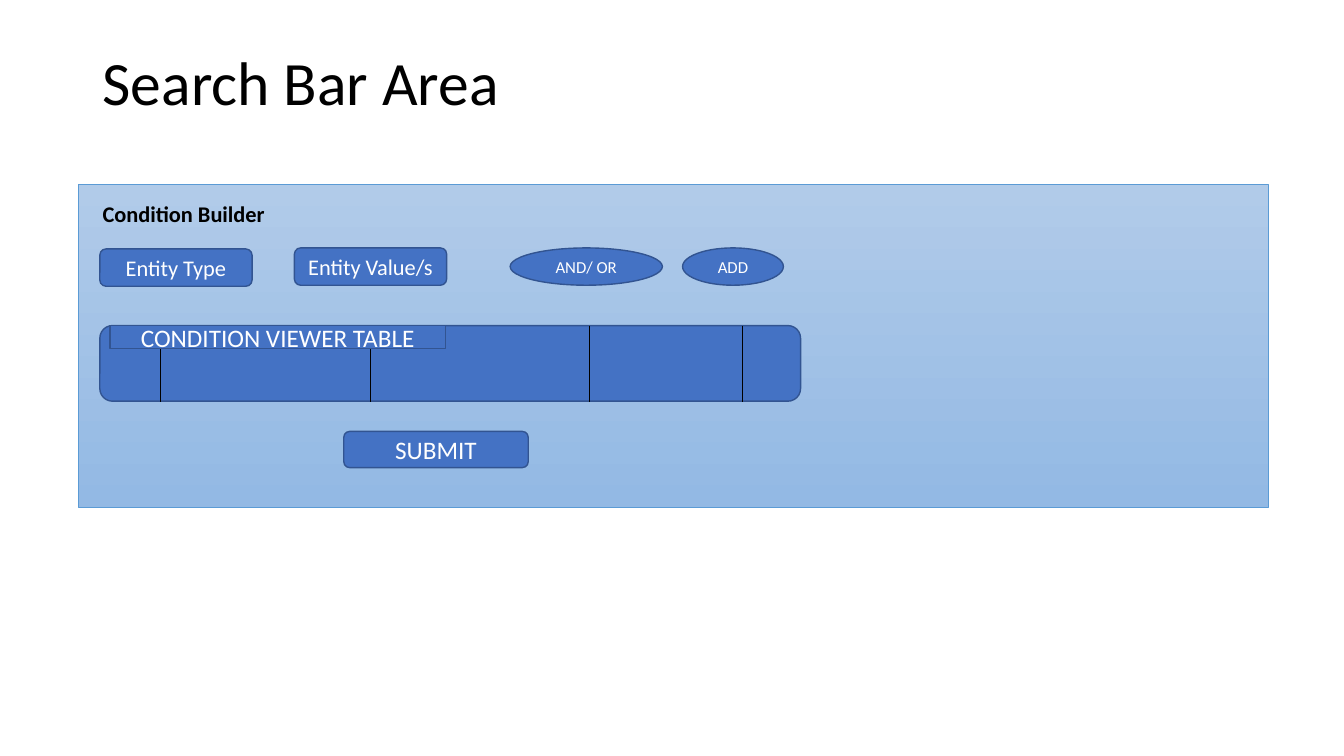
from dataclasses import dataclass

import pptx
import pptx.dml.color
import pptx.enum.shapes
import pptx.enum.text
import pptx.util
from lxml import etree
from pptx.util import Inches

SHAPES = pptx.enum.shapes.MSO_SHAPE
ALIGN = pptx.enum.text.PP_ALIGN
ANCHOR = pptx.enum.text.MSO_ANCHOR


@dataclass(frozen=True)
class Theme:
    font: str = "Calibri"
    ink: str = "000000"
    white: str = "FFFFFF"
    control: str = "4472C4"
    control_edge: str = "325491"
    panel_top: str = "B1CBE9"
    panel_bottom: str = "93B9E4"
    panel_edge: str = "5B9BD5"
    title: int = 44
    large: int = 18
    body: int = 16
    small: int = 12


THEME = Theme()


def rgb(color):
    return pptx.dml.color.RGBColor.from_string(color)


def set_line(line, color, width):
    line.color.rgb = rgb(color)
    line.width = pptx.util.Pt(width)


def write(shape, text, size, color, align, anchor, bold=False):
    tf = shape.text_frame
    tf.word_wrap = True
    tf.vertical_anchor = anchor
    p = tf.paragraphs[0]
    p.text = text
    p.alignment = align
    font = p.runs[0].font
    font.name, font.size, font.bold = THEME.font, pptx.util.Pt(size), bold
    font.color.rgb = rgb(color)
    return p


def add_label(s, text, x, y, w, h, size, anchor=ANCHOR.TOP, bold=False):
    box = s.shapes.add_textbox(Inches(x), Inches(y), Inches(w), Inches(h))
    return write(box, text, size, THEME.ink, ALIGN.LEFT, anchor, bold)


def add_panel(s, x, y, w, h):
    sp = s.shapes.add_shape(SHAPES.RECTANGLE, Inches(x), Inches(y), Inches(w), Inches(h))
    sp.shadow.inherit = False
    sp.fill.gradient()
    sp.fill.gradient_angle = 270
    for stop, color in zip(sp.fill.gradient_stops, (THEME.panel_top, THEME.panel_bottom)):
        stop.color.rgb = rgb(color)
    set_line(sp.line, THEME.panel_edge, 0.5)


def add_control(s, kind, x, y, w, h, text="", size=THEME.body):
    sp = s.shapes.add_shape(kind, Inches(x), Inches(y), Inches(w), Inches(h))
    sp.shadow.inherit = False
    sp.fill.solid()
    sp.fill.fore_color.rgb = rgb(THEME.control)
    set_line(sp.line, THEME.control_edge, 1)
    if text:
        write(sp, text, size, THEME.white, ALIGN.CENTER, ANCHOR.MIDDLE)


def add_column_rule(s, x, top, bottom):
    line = s.shapes.add_connector(pptx.enum.shapes.MSO_CONNECTOR.STRAIGHT,
                                  Inches(x), Inches(top), Inches(x), Inches(bottom))
    set_line(line.line, THEME.ink, 0.5)
    etree.SubElement(line.element.spPr, pptx.oxml.ns.qn("a:effectLst"))


def add_condition_table(s):
    top, bottom, header_h = 3.23, 3.99, 0.23
    add_control(s, SHAPES.ROUNDED_RECTANGLE, 0.99, top, 6.95, 0.75)
    add_control(s, SHAPES.RECTANGLE, 1.09, top, 3.33, header_h,
                "CONDITION VIEWER TABLE", THEME.large)
    for x in (1.59, 3.67):
        add_column_rule(s, x, top + header_h, bottom)
    for x in (5.85, 7.36):
        add_column_rule(s, x, top, bottom)


def main():
    prs = pptx.Presentation()
    prs.slide_width, prs.slide_height = Inches(13.33), Inches(7.5)
    s = prs.slides.add_slide(prs.slide_layouts[6])

    title = add_label(s, "Search Bar Area", 0.92, 0.4, 11.5, 0.9, THEME.title, ANCHOR.MIDDLE)
    title.line_spacing = 0.9
    add_panel(s, 0.78, 1.83, 11.8, 3.2)
    add_label(s, "Condition Builder", 0.92, 1.94, 2, 0.37, THEME.body, bold=True)

    for kind, x, y, w, text, size in (
        (SHAPES.ROUNDED_RECTANGLE, 0.99, 2.47, 1.51, "Entity Type", THEME.body),
        (SHAPES.ROUNDED_RECTANGLE, 2.92, 2.46, 1.51, "Entity Value/s", THEME.body),
        (SHAPES.OVAL, 5.06, 2.46, 1.51, "AND/ OR", THEME.small),
        (SHAPES.OVAL, 6.77, 2.46, 1, "ADD", THEME.small),
    ):
        add_control(s, kind, x, y, w, 0.37, text, size)

    add_condition_table(s)
    add_control(s, SHAPES.ROUNDED_RECTANGLE, 3.41, 4.28, 1.83, 0.36, "SUBMIT", THEME.large)
    prs.save("out.pptx")


if __name__ == "__main__":
    main()
